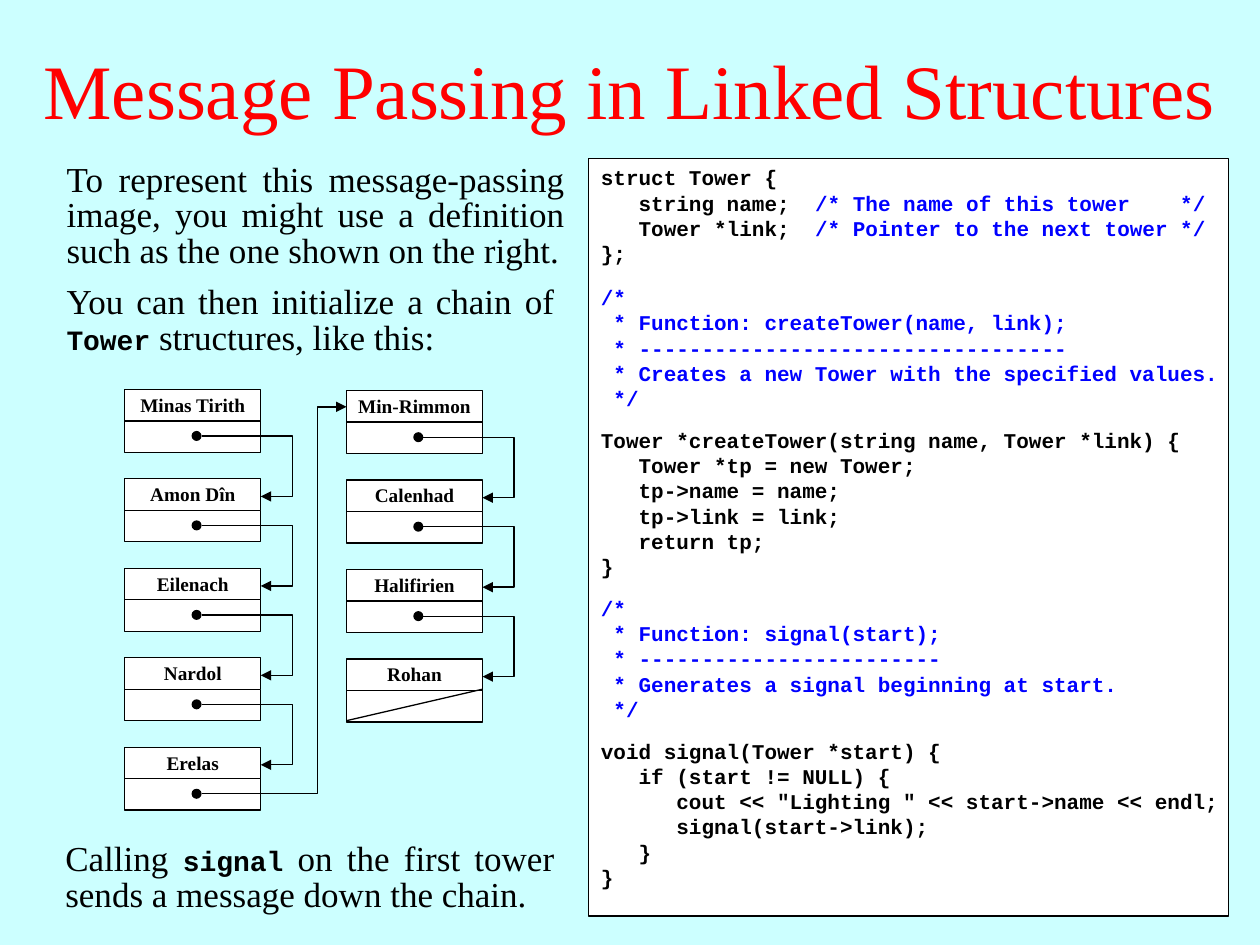
from pptx import Presentation
from pptx.dml.color import RGBColor
from pptx.enum.shapes import MSO_CONNECTOR, MSO_SHAPE
from pptx.enum.text import MSO_ANCHOR, MSO_AUTO_SIZE, PP_ALIGN
from pptx.oxml.ns import qn
from pptx.util import Inches, Pt
from lxml import etree

RECT, OVAL = MSO_SHAPE.RECTANGLE, MSO_SHAPE.OVAL
LINE, ELBOW = MSO_CONNECTOR.STRAIGHT, MSO_CONNECTOR.ELBOW
TOP, MIDDLE = MSO_ANCHOR.TOP, MSO_ANCHOR.MIDDLE
LEFT, CENTER, JUSTIFY = PP_ALIGN.LEFT, PP_ALIGN.CENTER, PP_ALIGN.JUSTIFY
GROW = MSO_AUTO_SIZE.SHAPE_TO_FIT_TEXT
BLACK = RGBColor(0, 0, 0)
WHITE = RGBColor(255, 255, 255)
RED = RGBColor(255, 0, 0)
BLUE = RGBColor(0, 0, 255)
CYAN = RGBColor(0xCC, 255, 255)
SERIF, MONO = "Times New Roman", "Courier New"

deck = Presentation()
deck.slide_width, deck.slide_height = Inches(10), Inches(7.5)
slide = deck.slides.add_slide(deck.slide_layouts[5])
slide.background.fill.solid()
slide.background.fill.fore_color.rgb = CYAN
shapes = slide.shapes


def add_run(para, text, size, face=SERIF, color=BLACK, bold=False):
    run = para.add_run()
    run.text = text
    run.font.size = Pt(size)
    run.font.name = face
    run.font.bold = bold
    run.font.color.rgb = color


def add_box(kind, x, y, w, h, fill=WHITE):
    box = shapes.add_shape(kind, Inches(x), Inches(y), Inches(w), Inches(h))
    box.shadow.inherit = False
    box.fill.solid()
    box.fill.fore_color.rgb = fill
    if kind == RECT:
        box.line.color.rgb = BLACK
        box.line.width = Pt(0.75)
    else:
        box.line.fill.background()
    box.text_frame.word_wrap = False
    return box


title = shapes.title
title.left, title.top = Inches(0), Inches(0.08)
title.width, title.height = Inches(10), Inches(1.25)
title.text_frame.vertical_anchor = MIDDLE
para = title.text_frame.paragraphs[0]
para.alignment = CENTER
add_run(para, "Message Passing in Linked Structures", 44, color=RED)

code = [
    """struct Tower {
   string name;  /* The name of this tower    */
   Tower *link;  /* Pointer to the next tower */
};""",
    """/*
 * Function: createTower(name, link);
 * ----------------------------------
 * Creates a new Tower with the specified values.
 */""",
    """Tower *createTower(string name, Tower *link) {
   Tower *tp = new Tower;
   tp->name = name;
   tp->link = link;
   return tp;
}""",
    """/*
 * Function: signal(start);
 * ------------------------
 * Generates a signal beginning at start.
 */""",
    """void signal(Tower *start) {
   if (start != NULL) {
      cout << "Lighting " << start->name << endl;
      signal(start->link);
   }
}""",
]
frame = add_box(RECT, 4.67, 1.26, 5.08, 6.01).text_frame
frame.vertical_anchor = TOP
para = frame.paragraphs[0]
for part, block in enumerate(code):
    for row, text in enumerate(block.split("\n")):
        if part or row:
            para = frame.add_paragraph()
        para.alignment = LEFT
        if part and row == 0:
            para.space_before = Pt(10.8 if part == 1 else 9.6)
        cut = 0 if text.startswith(" *") else text.find("/*")
        if cut < 0:
            cut = len(text)
        for piece, color in ((text[:cut], BLACK), (text[cut:], BLUE)):
            if piece:
                add_run(para, piece, 12, MONO, color, True)

notes = [
    (0.43, 1.25, 4.15, 0.97, ["To represent this message-passing image, you might use "
                              "a definition such as the one shown on the right."]),
    (0.43, 2.22, 4.07, 0.68, ["You can then initialize a chain of ", "Tower",
                              " structures, like this:"]),
    (0.42, 6.64, 4.08, 0.68, ["Calling ", "signal", " on the first tower sends "
                              "a message down the chain."]),
]
for x, y, w, h, parts in notes:
    frame = shapes.add_textbox(Inches(x), Inches(y), Inches(w), Inches(h)).text_frame
    frame.word_wrap = True
    frame.auto_size = GROW
    para = frame.paragraphs[0]
    para.alignment = JUSTIFY
    para.line_spacing = 0.85
    for i, text in enumerate(parts):
        if i == 1:
            add_run(para, text, 16, MONO, bold=True)
        else:
            add_run(para, text, 20)

WIDE, STEP = 1.08, 0.71
chains = [
    (0.99, 3.09, ["Minas Tirith", "Amon Dîn", "Eilenach", "Nardol", "Erelas"]),
    (2.75, 3.1, ["Min-Rimmon", "Calenhad", "Halifirien", "Rohan"]),
]
links = []
for x, y, names in chains:
    for i, name in enumerate(names):
        top = y + i * STEP
        frame = add_box(RECT, x, top, WIDE, 0.28).text_frame
        frame.vertical_anchor = MIDDLE
        para = frame.paragraphs[0]
        para.alignment = CENTER
        para.line_spacing = 0.75
        add_run(para, name, 11, bold=True)
        add_box(RECT, x, top + 0.25, WIDE, 0.25)
        if name == "Rohan":
            links.append((LINE, x, top + 0.49, x + WIDE, top + 0.24, 0))
            continue
        add_box(OVAL, x + 0.53, top + 0.33, 0.08, 0.08, BLACK)
        start = x + 0.61, top + 0.37
        if name == "Erelas":
            links.append((ELBOW, *start, 2.75, 3.23, 2.52))
        else:
            links.append((ELBOW, *start, x + WIDE, top + STEP + 0.14, x + WIDE + 0.25))

for kind, x1, y1, x2, y2, bend in links:
    wire = shapes.add_connector(kind, Inches(x1), Inches(y1), Inches(x2), Inches(y2))
    wire.line.color.rgb = BLACK
    wire.line.width = Pt(0.75)
    props = wire.element.spPr
    if kind == ELBOW:
        ratio = round((bend - x1) / (x2 - x1) * 100000)
        guides = props.find(qn("a:prstGeom")).find(qn("a:avLst"))
        etree.SubElement(guides, qn("a:gd"), name="adj1", fmla=f"val {ratio}")
        etree.SubElement(props.find(qn("a:ln")), qn("a:tailEnd"), type="triangle")
    etree.SubElement(props, qn("a:effectLst"))

deck.save("out.pptx")
